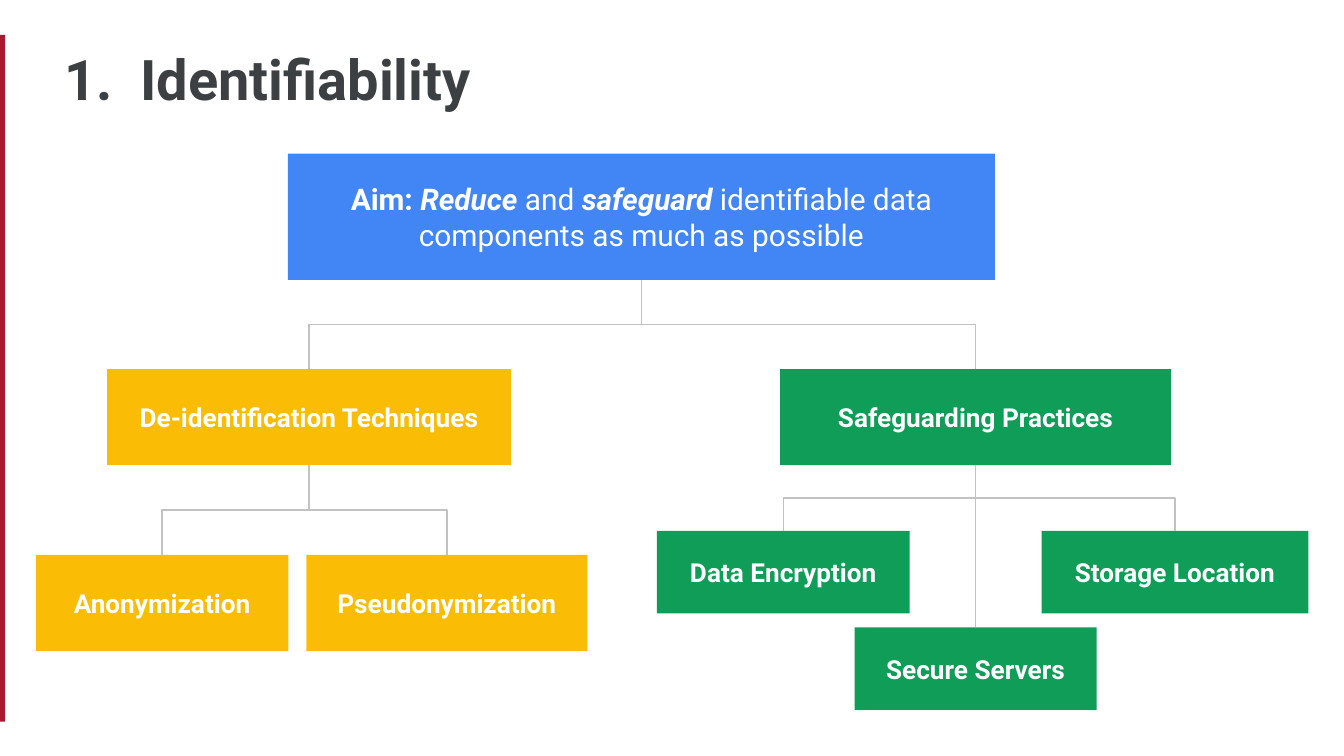
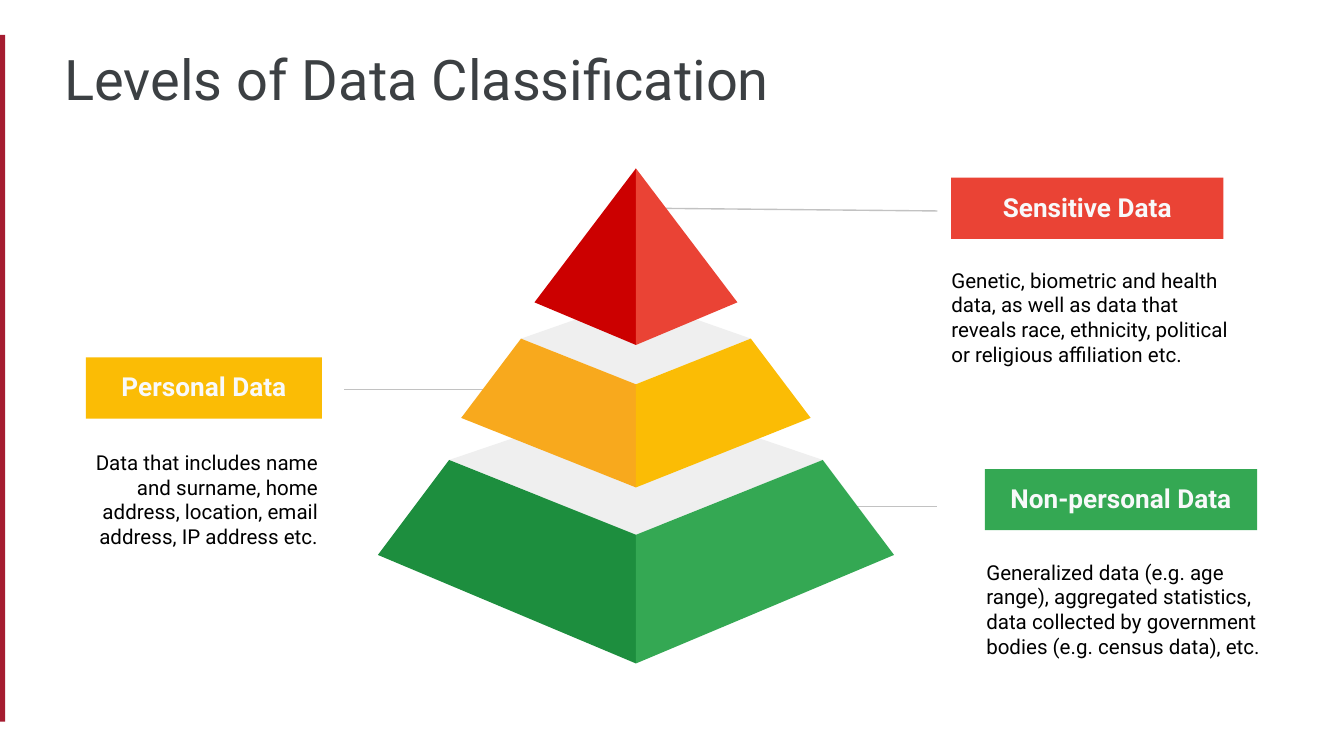
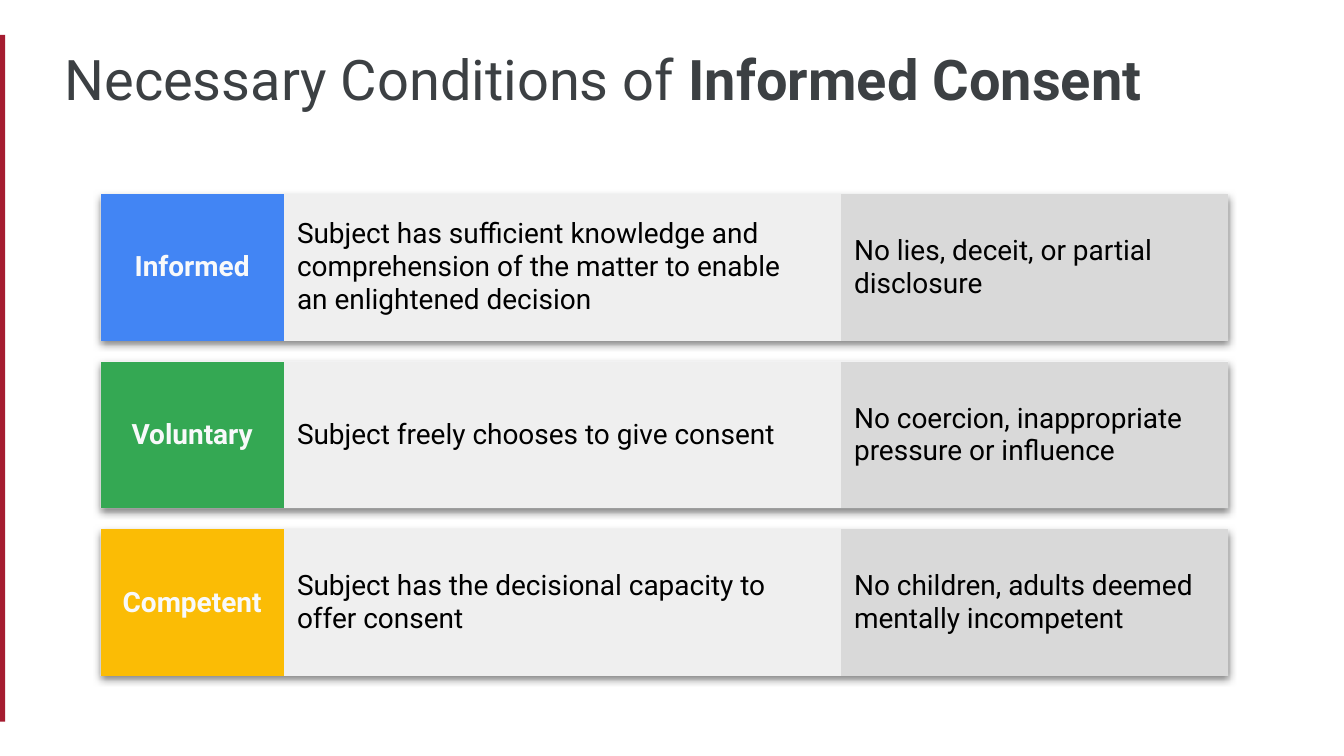
from dataclasses import dataclass

from lxml.etree import SubElement
from pptx import Presentation
from pptx.dml.color import RGBColor
from pptx.enum.shapes import MSO_CONNECTOR, MSO_SHAPE
from pptx.enum.text import MSO_ANCHOR, MSO_AUTO_SIZE, PP_ALIGN
from pptx.oxml.ns import qn
from pptx.util import Inches, Pt


@dataclass(frozen=True)
class Theme:
    font: str = "Roboto"
    # Colours
    crimson: str = "A51C30"
    heading: str = "3C4043"
    white: str = "FFFFFF"
    off_white: str = "F8F9FA"
    black: str = "000000"
    blue: str = "4285F4"
    yellow: str = "FBBC05"
    amber: str = "F8A91D"
    teal: str = "0F9D58"
    green: str = "34A853"
    dark_green: str = "1D8E3E"
    red: str = "EA4335"
    dark_red: str = "CC0000"
    pale: str = "EFEFEF"
    grey: str = "D9D9D9"
    rule: str = "C2C2C2"
    # Type sizes and line width in points
    title_size: float = 30
    aim_size: float = 16
    condition_size: float = 15
    label_size: float = 14
    note_size: float = 11
    rule_width: float = 0.75


THEME = Theme()
COLUMNS, ROWS, CELL = 100, 56.25, 0.1  # a grid of square cells, in inches
MARGINS = ("margin_left", "margin_top", "margin_right", "margin_bottom")
NO_STYLE_TABLE = "{2D5ABB26-0587-4C30-8999-92F81FD0307C}"
BOLD, PLAIN, BOLD_ITALIC = {"bold": True}, {}, {"bold": True, "italic": True}


def grid(*cells):
    return [Inches(cell * CELL) for cell in cells]


def apply(target, values):
    for attribute, value in values.items():
        setattr(target, attribute, value)


def paint(target, colour):
    target.fill.solid()
    target.fill.fore_color.rgb = RGBColor.from_string(colour)


# Text: each paragraph is a list of (words, font values) runs
def write(frame, paragraphs, size, colour, align=PP_ALIGN.LEFT, spacing=None):
    for index, runs in enumerate(paragraphs):
        paragraph = frame.add_paragraph() if index else frame.paragraphs[0]
        apply(paragraph, {"alignment": align, "line_spacing": spacing})
        for words, style in runs:
            run = paragraph.add_run()
            run.text = words
            apply(run.font, {"name": THEME.font, "size": Pt(size),
                             "bold": False, "italic": False, **style})
            run.font.color.rgb = RGBColor.from_string(colour)


def set_frame(frame, anchor=MSO_ANCHOR.MIDDLE):
    apply(frame, {"word_wrap": True, "auto_size": MSO_AUTO_SIZE.NONE,
                  "vertical_anchor": anchor, **dict.fromkeys(MARGINS, Inches(0.1))})


def add_block(slide, place, colour, kind=MSO_SHAPE.RECTANGLE):
    block = slide.shapes.add_shape(kind, *grid(*place))
    block.shadow.inherit = False
    paint(block, colour)
    block.line.fill.background()
    return block


def add_label(slide, place, colour, runs, size=THEME.label_size,
              ink=THEME.off_white, kind=MSO_SHAPE.RECTANGLE, anchor=MSO_ANCHOR.TOP):
    label = add_block(slide, place, colour, kind)
    set_frame(label.text_frame, anchor)
    write(label.text_frame, [runs], size, ink, PP_ALIGN.CENTER)
    return label


def add_note(slide, place, words, align, top_margin):
    note = slide.shapes.add_textbox(*grid(*place)).text_frame
    set_frame(note)
    note.margin_top = Inches(top_margin)
    write(note, [[(words, PLAIN)]], THEME.note_size, THEME.black, align)


def add_rule(slide, start=(0, 0), end=(0, 0), kind=MSO_CONNECTOR.STRAIGHT):
    rule = slide.shapes.add_connector(kind, *grid(*start, *end))
    rule.line.color.rgb = RGBColor.from_string(THEME.rule)
    rule.line.width = Pt(THEME.rule_width)
    SubElement(rule.element.spPr, qn("a:effectLst"))
    return rule


# Shared frame: the crimson band sits on the layout
def prepare_layout(deck):
    layout = deck.slide_layouts[5]
    for spare in list(layout.placeholders)[1:]:
        spare.element.getparent().remove(spare.element)
    return layout


def add_band(slide, layout):
    band = add_block(slide, (-0.2, 2.6, 0.6, 51.1), THEME.crimson)
    layout.shapes.element.append(band.element)


def add_titled_slide(deck, layout, runs, width=85.3, tab=None):
    slide = deck.slides.add_slide(layout)
    title = slide.shapes.title
    apply(title, dict(zip(("left", "top", "width", "height"),
                          grid(3.8, 2.9, width, 5.9))))
    set_frame(title.text_frame, MSO_ANCHOR.TOP)
    write(title.text_frame, [runs], THEME.title_size, THEME.heading, spacing=0.9)
    if tab:
        properties = title.text_frame.paragraphs[0]._p.get_or_add_pPr()
        stops = SubElement(properties, qn("a:tabLst"))
        SubElement(stops, qn("a:tab"), pos=str(grid(tab)[0]), algn="l")
    return slide


# Tree branches run from the foot of a parent to the head of a child
def add_branch(slide, parent, child):
    parent_x, child_x = (box.left + box.width // 2 for box in (parent, child))
    foot = parent.top + parent.height
    drop, reach = child.top - foot, child_x - parent_x
    straight = abs(reach) < Inches(0.02)
    branch = add_rule(slide, kind=MSO_CONNECTOR.STRAIGHT if straight
                      else MSO_CONNECTOR.ELBOW)
    ends = [(parent, 2), (child, 0)]
    if reach < 0 and not straight:
        ends.reverse()
    branch.begin_connect(*ends[0])
    branch.end_connect(*ends[1])
    if straight:
        return
    # A quarter turn makes the elbow leave its parent vertically
    apply(branch, {"left": (parent_x + child_x - drop) // 2,
                   "top": foot + (drop - abs(reach)) // 2,
                   "width": drop, "height": abs(reach), "rotation": 270})
    frame = branch.element.spPr.find(qn("a:xfrm"))
    for key, value in {"flipH": str(int(reach > 0)), "flipV": "0"}.items():
        frame.set(key, value)


def add_node(slide, place, colour, runs, size=THEME.label_size):
    node = add_label(slide, place, colour, runs, size, THEME.white,
                     MSO_SHAPE.ROUNDED_RECTANGLE, MSO_ANCHOR.MIDDLE)
    node.adjustments[0] = 0
    return node


def build_identifiability(slide):
    aim = add_node(slide, (21.43, 11.43, 52.6, 9.4), THEME.blue, [
        ("Aim: ", BOLD), ("Reduce", BOLD_ITALIC), (" and ", PLAIN),
        ("safeguard", BOLD_ITALIC),
        (" identifiable data components as much as possible", PLAIN),
    ], THEME.aim_size)
    families = [
        (THEME.yellow, "De-identification Techniques", (7.97, 27.46, 30.05, 7.15), [
            ("Anonymization", (2.66, 41.3, 18.8, 7.15)),
            ("Pseudonymization", (22.8, 41.3, 20.9, 7.15))]),
        (THEME.teal, "Safeguarding Practices", (58.04, 27.46, 29.1, 7.15), [
            ("Data Encryption", (48.88, 39.5, 18.8, 6.15)),
            ("Storage Location", (77.5, 39.5, 19.85, 6.15)),
            ("Secure Servers", (63.59, 46.68, 18, 6.15))]),
    ]
    for colour, family, place, members in families:
        parent = add_node(slide, place, colour, [(family, BOLD)])
        add_branch(slide, aim, parent)
        for member, member_place in members:
            child = add_node(slide, member_place, colour, [(member, BOLD)])
            add_branch(slide, parent, child)


# Pyramid faces
def add_face(group, points, colour):
    first, *rest = [grid(*point) for point in points]
    outline = group.shapes.build_freeform(*first)
    outline.add_line_segments(rest, close=True)
    face = outline.convert_to_shape()
    face.shadow.inherit = False
    paint(face, colour)
    face.line.fill.background()


def add_tier(group, axis, back, top, base, colours):
    """top and base are (half width, side row, front row)."""
    half, side, front = top
    base_half, base_side, base_front = base
    if half:
        add_face(group, [(axis - half, side), (axis, front),
                         (axis + half, side), (axis, back)], THEME.pale)
    for sign, colour in zip((-1, 1), colours):
        corners = [(axis + sign * half, side), (axis + sign * base_half, base_side),
                   (axis, base_front), (axis, front)]
        add_face(group, dict.fromkeys(corners), colour)


def build_classification(slide):
    for start, end in (((63.3, 37.67), (69.7, 37.67)), ((37, 29), (25.6, 29)),
                       ((49, 15.5), (69.75, 15.7))):
        add_rule(slide, start, end)

    notes = [
        ("Generalized data (e.g. age range), aggregated statistics, data collected "
         "by government bodies (e.g. census data), etc.",
         (72.4, 37.77, 24.4, 15.1), PP_ALIGN.LEFT, 0.1),
        ("Data that includes name and surname, home address, location, email "
         "address, IP address etc.", (3.75, 28.6, 20.9, 15.1), PP_ALIGN.RIGHT, 0.3),
        ("Genetic, biometric and health data, as well as data that reveals race, "
         "ethnicity, political or religious affiliation etc.",
         (69.8, 16.04, 23.6, 15.1), PP_ALIGN.LEFT, 0.1),
    ]
    for meaning, place, align, top_margin in notes:
        add_note(slide, place, meaning, align, top_margin)

    pyramid = slide.shapes.add_group_shape()
    tiers = [
        (29.5, (13.9, 34.23, 39.8), (19.2, 41.3, 49.37), (THEME.dark_green, THEME.green)),
        (22.2, (8.55, 25.2, 28.6), (13, 31.1, 36.27), (THEME.amber, THEME.yellow)),
        (12.53, (0, 12.53, 12.53), (7.55, 22.5, 25.67), (THEME.dark_red, THEME.red)),
    ]
    for back, top, base, colours in tiers:
        add_tier(pyramid, 47.32, back, top, base, colours)

    levels = [
        ("Personal Data", THEME.yellow, (6.4, 26.6, 17.56, 4.55)),
        ("Non-personal Data", THEME.green, (73.28, 34.9, 20.26, 4.55)),
        ("Sensitive Data", THEME.red, (70.77, 13.23, 20.26, 4.55)),
    ]
    for level, colour, place in levels:
        add_label(slide, place, colour, [(level, BOLD)])


# Consent rows: a shadowed card under a one-row table
def add_card(slide, place):
    card = add_block(slide, place, THEME.off_white)
    effects = card.element.spPr.find(qn("a:effectLst"))
    shadow = SubElement(effects, qn("a:outerShdw"), blurRad=str(Pt(4.5)),
                        dist=str(Pt(1.5)), dir="5400000", algn="bl", rotWithShape="0")
    ink = SubElement(shadow, qn("a:srgbClr"), val=THEME.black)
    SubElement(ink, qn("a:alpha"), val="50000")


def add_condition(slide, corner, widths, height, frame_side, cells):
    holder = slide.shapes.add_table(1, len(cells), *grid(*corner, sum(widths), height))
    table = holder.table
    apply(table, {"first_row": False, "horz_banding": False})
    table._tbl.tblPr.find(qn("a:tableStyleId")).text = NO_STYLE_TABLE
    for index, (lines, fill, ink, style, align) in enumerate(cells):
        table.columns[index].width = grid(widths[index])[0]
        cell = table.cell(0, index)
        paint(cell, fill)
        apply(cell, {"vertical_anchor": MSO_ANCHOR.MIDDLE,
                     **dict.fromkeys(MARGINS, Inches(0.1))})
        write(cell.text_frame, [[(line, style)] for line in lines],
              THEME.condition_size, ink, align)
    # The columns and row set the drawn size; the holder is a plain square
    apply(holder, dict.fromkeys(("width", "height"), grid(frame_side)[0]))


def build_consent(slide):
    conditions = [
        ("Informed", THEME.blue,
         ["Subject has sufficient knowledge and comprehension of the matter to enable",
          "an enlightened decision"],
         "No lies, deceit, or partial disclosure"),
        ("Voluntary", THEME.green, ["Subject freely chooses to give consent"],
         "No coercion, inappropriate pressure or influence"),
        ("Competent", THEME.yellow,
         ["Subject has the decisional capacity to offer consent"],
         "No children, adults deemed mentally incompetent"),
    ]
    widths, height, frame_side = (13.6, 41.45, 28.83), 10.92, 32.8
    left, top, pitch = 7.5, 14.43, 12.47
    corners = [(left, top + index * pitch) for index in range(len(conditions))]
    for corner in reversed(corners):
        add_card(slide, (*corner, sum(widths), height))
    for corner, (condition, colour, meaning, exclusion) in zip(corners, conditions):
        add_condition(slide, corner, widths, height, frame_side, [
            ([condition], colour, THEME.off_white, BOLD, PP_ALIGN.CENTER),
            (meaning, THEME.pale, THEME.black, PLAIN, PP_ALIGN.LEFT),
            ([exclusion], THEME.grey, THEME.black, PLAIN, PP_ALIGN.LEFT),
        ])


def main():
    deck = Presentation()
    deck.slide_width, deck.slide_height = grid(COLUMNS, ROWS)
    layout = prepare_layout(deck)

    identifiability = add_titled_slide(
        deck, layout, [("1.\tIdentifiability", BOLD)], tab=5.65)
    add_band(identifiability, layout)
    build_identifiability(identifiability)

    build_classification(add_titled_slide(
        deck, layout, [("Levels of Data Classification", PLAIN)]))

    build_consent(add_titled_slide(
        deck, layout, [("Necessary Conditions of ", PLAIN), ("Informed Consent", BOLD)],
        width=87))
    deck.save("out.pptx")


if __name__ == "__main__":
    main()
